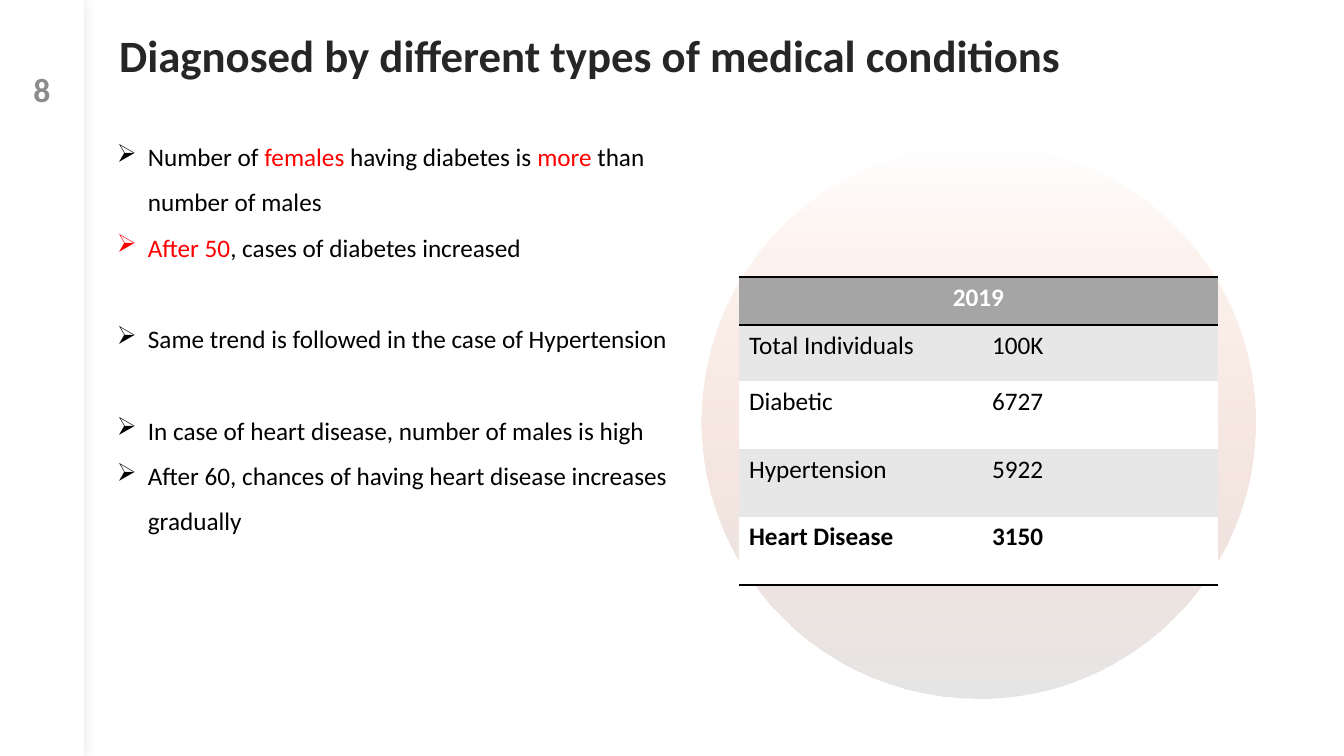
from dataclasses import dataclass
from lxml.etree import SubElement
from pptx import Presentation
from pptx.dml.color import RGBColor
from pptx.enum.shapes import MSO_SHAPE
from pptx.enum.text import MSO_ANCHOR, MSO_AUTO_SIZE, PP_ALIGN
from pptx.oxml.ns import qn
from pptx.util import Emu, Pt


@dataclass(frozen=True)
class Theme:
    """Colours, type sizes and font of the slide."""
    font: str = "Calibri"
    title: str = "262626"
    number: str = "8C8C8C"
    black: str = "000000"
    white: str = "FFFFFF"
    red: str = "FF0000"
    header: str = "A5A5A5"
    band: str = "E7E7E7"
    glow: str = "F7BDA5"
    haze: str = "E7E6E6"
    title_pt: int = 32
    number_pt: int = 24
    body_pt: int = 18
    gap_pt: int = 33
    rule_pt: int = 2


T = Theme()
PLAIN_TABLE = "{2D5ABB26-0587-4C30-8999-92F81FD0307C}"
TITLE = "Diagnosed by different types of medical conditions"
FINDINGS = [
    (0, [("Number of ", T.black), ("females", T.red), (" having diabetes is ", T.black),
         ("more", T.red), (" than number of males", T.black)]),
    (0, [("After 50", T.red), (", cases of diabetes increased", T.black)]),
    (T.gap_pt, [("Same trend is followed in the case of Hypertension", T.black)]),
    (T.gap_pt, [("In case of heart disease, number of males is high", T.black)]),
    (0, [("After 60, chances of having heart disease increases gradually", T.black)]),
]
COUNTS = [("2019", ""), ("Total Individuals", "100K"), ("Diabetic", "6727"),
          ("Hypertension", "5922"), ("Heart Disease", "3150")]


def px(n):
    """Turn pixels into EMU."""
    return Emu(round(n * 914400 / 100.8))


def box(*lengths):
    """Turn left, top, width and height into EMU."""
    return [px(n) for n in lengths]


def apply(obj, values):
    """Set every attribute in a dict of format values."""
    for name, value in values.items():
        setattr(obj, name, value)


def add_run(p, text, size, color, bold=False):
    """Add a formatted run to a paragraph."""
    r = p.add_run()
    r.text = text
    apply(r.font, {"name": T.font, "size": Pt(size), "bold": bold})
    r.font.color.rgb = RGBColor.from_string(color)


def add_plain_shape(s, kind, at):
    """Add a preset shape without line or shadow."""
    sp = s.shapes.add_shape(kind, *box(*at))
    sp.line.fill.background()
    sp.shadow.inherit = False
    return sp


def add_circle(s, at):
    """Add the circle that fades in from top to bottom."""
    sp = add_plain_shape(s, MSO_SHAPE.OVAL, at)
    sp.fill.gradient()
    sp.fill.gradient_angle = 270
    for stop, color, position in zip(sp.fill.gradient_stops, (T.glow, T.haze), (0, 1)):
        stop.color.rgb = RGBColor.from_string(color)
        stop.position = position
    SubElement(sp._element.xpath(".//a:gs[1]/a:srgbClr")[0], qn("a:alpha"), val="0")


def add_rail(s, at):
    """Add the white side rail with its soft shadow."""
    sp = add_plain_shape(s, MSO_SHAPE.RECTANGLE, at)
    sp.fill.solid()
    sp.fill.fore_color.rgb = RGBColor.from_string(T.white)
    effects = sp._element.xpath("./p:spPr/a:effectLst")[0]
    shadow = SubElement(effects, qn("a:outerShdw"), blurRad=str(Pt(10)), dist="0",
                        dir="0", algn="ctr", rotWithShape="0")
    color = SubElement(shadow, qn("a:srgbClr"), val=T.black)
    SubElement(color, qn("a:alpha"), val="10000")


def set_title(s, at):
    """Place and fill the title placeholder."""
    sp = s.shapes.title
    apply(sp, dict(zip(("left", "top", "width", "height"), box(*at))))
    tf = sp.text_frame
    apply(tf, {"word_wrap": True, "auto_size": MSO_AUTO_SIZE.NONE,
               "vertical_anchor": MSO_ANCHOR.TOP})
    p = tf.paragraphs[0]
    apply(p, {"alignment": PP_ALIGN.LEFT, "line_spacing": 0.9})
    add_run(p, TITLE, T.title_pt, T.title, True)


def add_text_frame(s, at, anchor):
    """Add a wrapping text box and return its frame."""
    tf = s.shapes.add_textbox(*box(*at)).text_frame
    apply(tf, {"word_wrap": True, "vertical_anchor": anchor})
    return tf


def add_number(s, at):
    """Add the slide number on the rail."""
    p = add_text_frame(s, at, MSO_ANCHOR.MIDDLE).paragraphs[0]
    p.alignment = PP_ALIGN.CENTER
    add_run(p, "8", T.number_pt, T.number, True)


def add_findings(s, at):
    """Add the bulleted findings."""
    tf = add_text_frame(s, at, MSO_ANCHOR.TOP)
    for i, (gap, runs) in enumerate(FINDINGS):
        p = tf.add_paragraph() if i else tf.paragraphs[0]
        apply(p, {"line_spacing": 1.5, "space_before": Pt(gap)})
        pPr = p._p.get_or_add_pPr()
        pPr.set("marL", str(px(31)))
        pPr.set("indent", str(-px(31)))
        SubElement(pPr, qn("a:buChar"), char="➢")
        for text, color in runs:
            add_run(p, text, T.body_pt, color)


def add_rule(cell, side):
    """Draw a black border on one side of a cell."""
    ln = SubElement(cell._tc.get_or_add_tcPr(), qn(f"a:{side}"), w=str(Pt(T.rule_pt)))
    fill = SubElement(ln, qn("a:solidFill"))
    SubElement(fill, qn("a:srgbClr"), val=T.black)


def add_counts(s, at, widths, heights):
    """Add the table of individuals by condition."""
    table = s.shapes.add_table(len(COUNTS), len(widths), *box(*at)).table
    apply(table, {"first_row": False, "horz_banding": False})
    table._tbl.tblPr.find(qn("a:tableStyleId")).text = PLAIN_TABLE
    for column, width in zip(table.columns, widths):
        column.width = px(width)
    for row, height in zip(table.rows, heights):
        row.height = px(height)
    last = len(COUNTS) - 1
    rules = {0: ("lnT", "lnB"), last: ("lnB",)}
    for i, texts in enumerate(COUNTS):
        for j, text in enumerate(texts):
            cell = table.cell(i, j)
            for side in rules.get(i, ()):
                add_rule(cell, side)
            fill = T.header if i == 0 else T.band if i % 2 else T.white
            cell.fill.solid()
            cell.fill.fore_color.rgb = RGBColor.from_string(fill)
            if text:
                p = cell.text_frame.paragraphs[0]
                p.alignment = PP_ALIGN.LEFT if i else PP_ALIGN.CENTER
                add_run(p, text, T.body_pt, T.black if i else T.white, i in rules)
    table.cell(0, 0).merge(table.cell(0, 1))


def main():
    """Build and save the slide."""
    prs = Presentation()
    apply(prs, {"slide_width": px(1344), "slide_height": px(756)})
    s = prs.slides.add_slide(prs.slide_layouts[5])
    add_circle(s, (702, 145, 554, 554))
    add_rail(s, (0, 0, 84, 756))
    set_title(s, (109, 29, 1041, 62))
    add_number(s, (0, 68, 84, 42))
    add_counts(s, (739, 277, 479, 308), (243, 236), (48, 56, 68, 68, 68))
    add_findings(s, (107, 121, 615, 418))
    prs.save("out.pptx")


if __name__ == "__main__":
    main()
